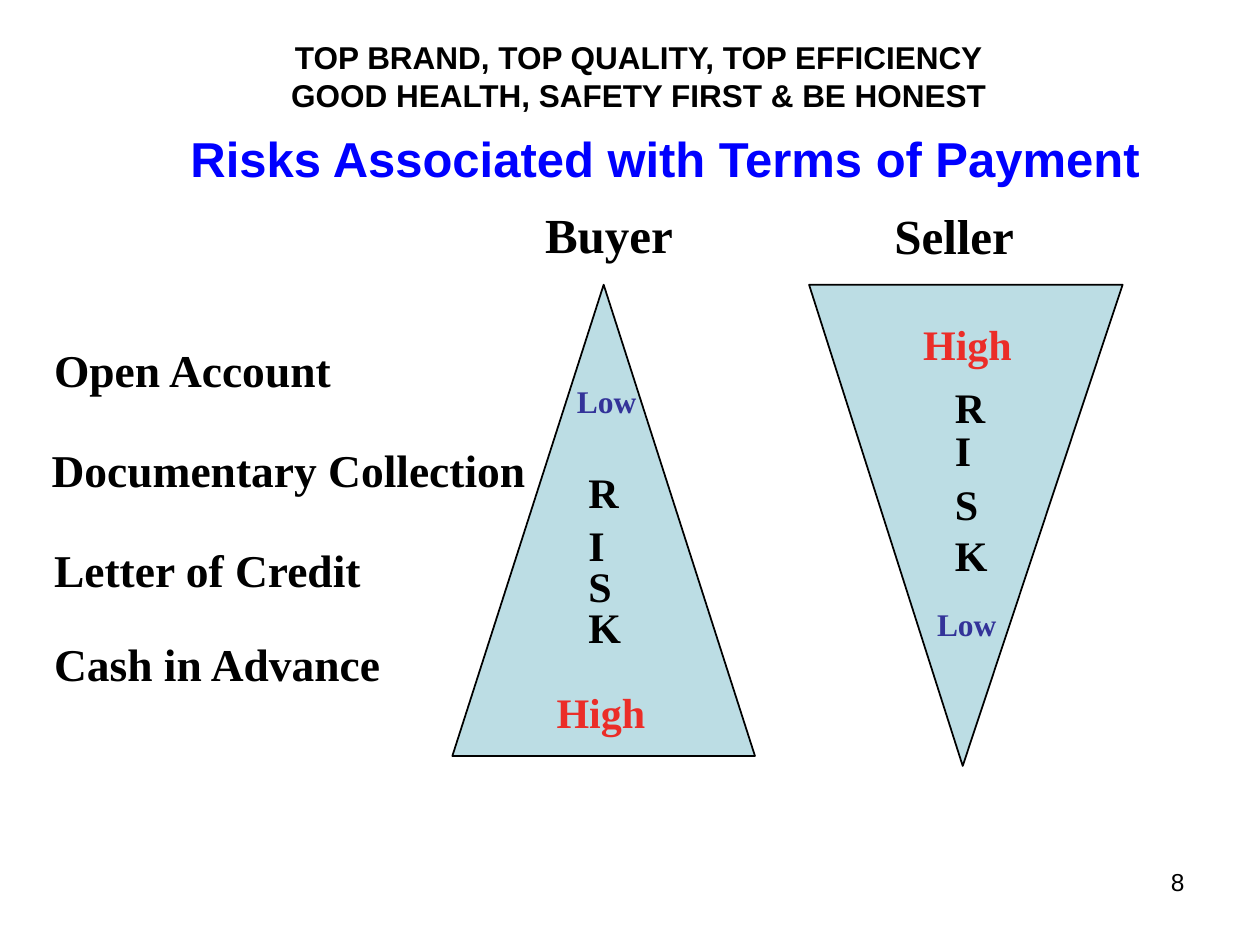
from pptx import Presentation
from pptx.dml.color import RGBColor
from pptx.enum.shapes import MSO_SHAPE
from pptx.enum.text import MSO_ANCHOR, MSO_AUTO_SIZE, PP_ALIGN
from pptx.util import Cm, Pt

BLACK, BLUE, INDIGO, RED, PALE = "000000", "0000FF", "333399", "EB2D28", "BCDDE4"
SERIF, SANS = "Times New Roman", "Arial"

prs = Presentation()
prs.slide_width, prs.slide_height = Cm(25.4), Cm(19.05)
slide = prs.slides.add_slide(prs.slide_layouts[5])


def color(value):
    return RGBColor.from_string(value)


def write(text, left, top, width, height, box=None, size=24, ink=BLACK, font=SERIF,
          bold=True, align=PP_ALIGN.LEFT, anchor=MSO_ANCHOR.TOP, wrap=False):
    position = Cm(left), Cm(top), Cm(width), Cm(height)
    if box is None:
        box = slide.shapes.add_textbox(*position)
    else:
        box.left, box.top, box.width, box.height = position
    frame = box.text_frame
    frame.text = text
    frame.auto_size = MSO_AUTO_SIZE.NONE
    frame.word_wrap = wrap
    frame.vertical_anchor = anchor
    for paragraph in frame.paragraphs:
        paragraph.alignment = align
        paragraph.font.size, paragraph.font.bold = Pt(size), bold
        paragraph.font.name, paragraph.font.color.rgb = font, color(ink)


# Slogan, title and page number
write("TOP BRAND, TOP QUALITY, TOP EFFICIENCY\nGOOD HEALTH, SAFETY FIRST & BE HONEST",
      5.59, 0.64, 14.58, 1.78, size=18, font=SANS,
      align=PP_ALIGN.CENTER, anchor=MSO_ANCHOR.MIDDLE)
write("Risks Associated with Terms of Payment", 2.24, 2.34, 22.33, 1.7,
      box=slide.shapes.title, size=28, ink=BLUE, font=SANS,
      align=PP_ALIGN.CENTER, anchor=MSO_ANCHOR.MIDDLE, wrap=True)
write("8", 18.21, 17.35, 5.92, 1.32, size=14, font=SANS, bold=False,
      align=PP_ALIGN.RIGHT, wrap=True)

# Terms of payment
for term, left, top, width in [
    ("Open Account", 0.84, 6.78, 6.15),
    ("Documentary Collection", 0.79, 8.79, 10.06),
    ("Letter of Credit", 0.84, 10.8, 6.73),
    ("Cash in Advance", 0.84, 12.7, 7.14),
]:
    write(term, left, top, width, 1.35, size=26)

# Risk triangles: the buyer's widens downwards, the seller's upwards
for left, width, height, turn, apex in [
    (9.12, 6.1, 9.5, 0, 0.5),
    (16.31, 6.32, 9.7, 180, 0.51),
]:
    triangle = slide.shapes.add_shape(
        MSO_SHAPE.ISOSCELES_TRIANGLE, Cm(left), Cm(5.74), Cm(width), Cm(height))
    triangle.adjustments[0] = apex
    triangle.rotation = turn
    triangle.shadow.inherit = False
    triangle.fill.solid()
    triangle.fill.fore_color.rgb = color(PALE)
    triangle.line.color.rgb = color(BLACK)
    triangle.line.width = Pt(1)

# Party names and ends of each risk scale
write("Buyer", 10.74, 3.99, 3.07, 1.42, size=28)
write("Seller", 17.78, 4.01, 3.28, 1.42, size=28, wrap=True)
write("Low", 11.38, 7.57, 1.7, 1.02, size=18, ink=INDIGO)
write("High", 10.97, 13.72, 2.51, 1.27, ink=RED)
write("High", 18.36, 6.3, 2.29, 1.27, ink=RED, wrap=True)
write("Low", 18.64, 12.07, 2.95, 1.02, size=18, ink=INDIGO, wrap=True)

# RISK, spelled downwards inside each triangle
letter_widths = [1.12, 0.84, 0.97, 1.17]
for left, tops in [
    (11.61, [9.27, 10.34, 11.18, 12.01]),
    (19, [7.57, 8.43, 9.53, 10.54]),
]:
    for letter, top, width in zip("RISK", tops, letter_widths):
        write(letter, left, top, width, 1.27)

prs.save("out.pptx")
